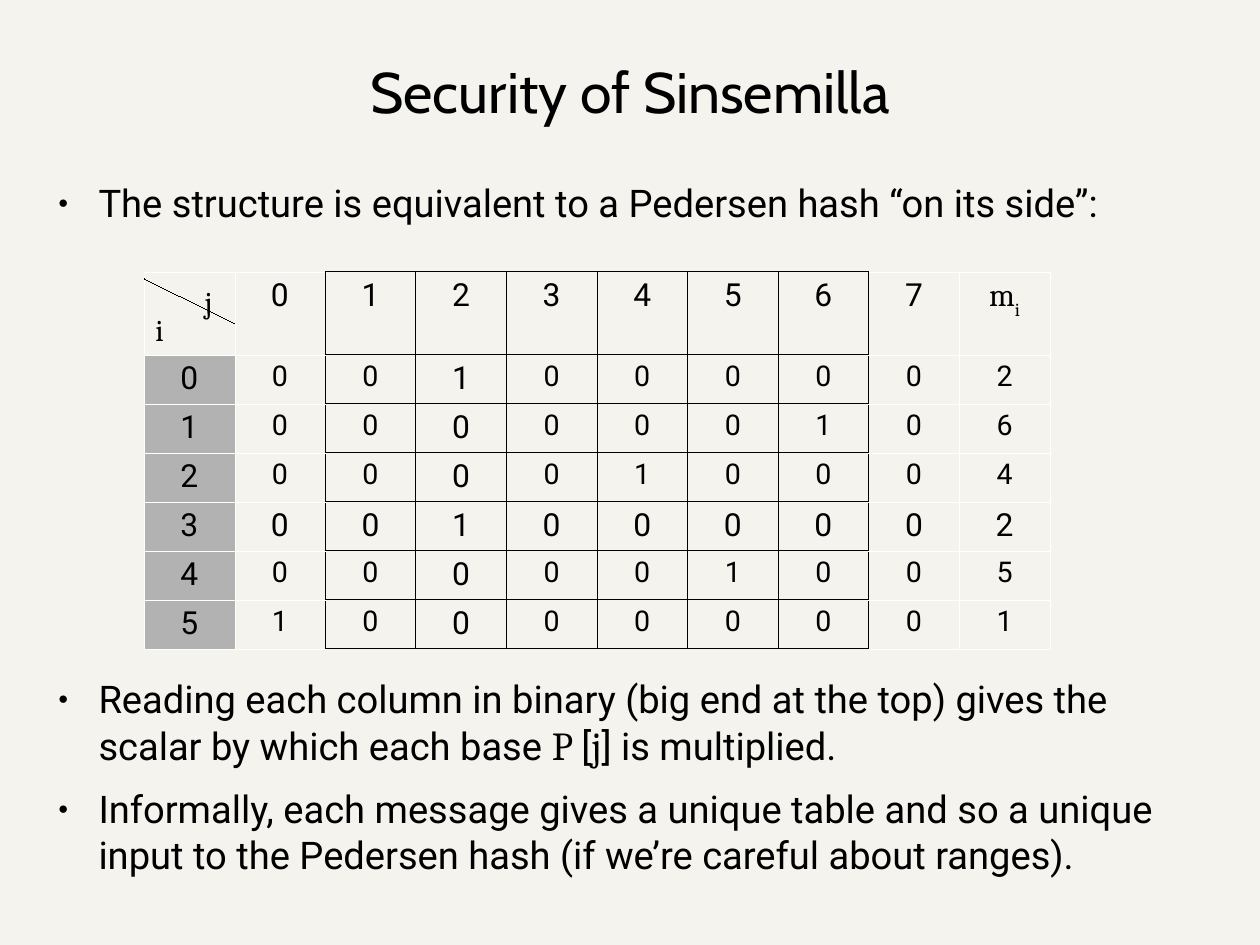
import pptx
import pptx.dml.color
import pptx.enum.shapes
import pptx.enum.text
import pptx.oxml
import pptx.oxml.ns
import pptx.util

COLORS = {"paper": "F4F3ED", "ink": "000000", "label": "B2B2B2", "rule": "FFFFFF"}
ALIGN = pptx.enum.text.PP_ALIGN
ANCHOR = pptx.enum.text.MSO_ANCHOR
NS = pptx.oxml.ns.nsdecls("a")

BASES = range(8)
MARKED = [2, 6, 4, 2, 5, 0]
MESSAGE = [2, 6, 4, 2, 5, 1]
LARGE_BASE = 2
LARGE_ROW = 3
BOXED = range(2, 8)
BOX_EDGES = {(1, "R"), (8, "L")}

TABLE_X, TABLE_Y = 11.43, 28.75
COL_W, HEAD_H, ROW_H = 7.19, 7.26, 5.19


def rgb(name):
    return pptx.dml.color.RGBColor.from_string(COLORS[name])


def xml(text):
    return pptx.oxml.parse_xml(text)


class Deck:
    def __init__(self, width, height):
        self.prs = pptx.Presentation()
        self.prs.slide_width = pptx.util.Cm(width)
        self.prs.slide_height = pptx.util.Cm(height)
        self.s = self.prs.slides.add_slide(self.prs.slide_layouts[3])
        self.s.background.fill.solid()
        self.s.background.fill.fore_color.rgb = rgb("paper")

    def x(self, percent):
        return pptx.util.Emu(round(self.prs.slide_width * percent / 100))

    def y(self, percent):
        return pptx.util.Emu(round(self.prs.slide_height * percent / 100))

    def font(self, target, size, name):
        target.font.size = pptx.util.Pt(size)
        target.font.name = name
        target.font.color.rgb = rgb("ink")

    def runs(self, p, parts):
        for text, size, name, baseline in parts:
            r = p.add_run()
            r.text = text
            if size:
                self.font(r, size, name)
            if baseline:
                r.font._element.set("baseline", str(baseline * 1000))

    def place(self, idx, x, y, w, h, anchor):
        sp = self.s.placeholders[idx]
        sp.left, sp.top, sp.width, sp.height = self.x(x), self.y(y), self.x(w), self.y(h)
        tf = sp.text_frame
        tf.margin_left = tf.margin_right = tf.margin_top = tf.margin_bottom = 0
        tf.word_wrap = True
        tf.auto_size = pptx.enum.text.MSO_AUTO_SIZE.NONE
        tf.vertical_anchor = anchor
        return tf

    def title(self, text, *box):
        p = self.place(0, *box, ANCHOR.MIDDLE).paragraphs[0]
        p.text = text
        p.alignment = ALIGN.CENTER
        self.font(p, 36, "Cabin")

    def bullets(self, idx, items, *box):
        tf = self.place(idx, *box, ANCHOR.TOP)
        for n, parts in enumerate(items):
            p = tf.add_paragraph() if n else tf.paragraphs[0]
            pPr = p._p.get_or_add_pPr()
            pPr.set("marL", str(self.x(4.28)))
            pPr.set("indent", str(-self.x(3.2)))
            pPr.append(xml(f'<a:buClr {NS}><a:srgbClr val="{COLORS["ink"]}"/></a:buClr>'))
            pPr.append(xml(f'<a:buSzPct {NS} val="45000"/>'))
            pPr.append(xml(f'<a:buChar {NS} char="●"/>'))
            p.space_before = pptx.util.Pt(10.6 if n else 0)
            self.font(p, 24, "Roboto")
            self.runs(p, parts)

    def table(self, rows, cols, x, y, col_w, head_h, row_h):
        heights = [head_h] + [row_h] * (rows - 1)
        frame = self.s.shapes.add_table(
            rows, cols, self.x(x), self.y(y), self.x(col_w * cols), self.y(sum(heights)))
        tbl = frame.table
        tbl.first_row = tbl.horz_banding = False
        for col in tbl.columns:
            col.width = self.x(col_w)
        for row, height in zip(tbl.rows, heights):
            row.height = self.y(height)
        return tbl

    def cell(self, cell, parts, size, name, borders, fill=None, tab=None):
        tcPr = cell._tc.get_or_add_tcPr()
        for edge, (color, width) in borders.items():
            tcPr.append(xml(
                f'<a:ln{edge} {NS} w="{pptx.util.Pt(width)}"><a:solidFill>'
                f'<a:srgbClr val="{COLORS[color]}"/></a:solidFill></a:ln{edge}>'))
        if fill:
            cell.fill.solid()
            cell.fill.fore_color.rgb = rgb(fill)
        else:
            cell.fill.background()
        p = cell.text_frame.paragraphs[0]
        if tab:
            p._p.get_or_add_pPr().append(xml(
                f'<a:tabLst {NS}><a:tab pos="{self.x(tab)}" algn="l"/></a:tabLst>'))
        else:
            p.alignment = ALIGN.CENTER
        self.font(p, size, name)
        self.runs(p, parts)

    def line(self, x1, y1, x2, y2):
        c = self.s.shapes.add_connector(
            pptx.enum.shapes.MSO_CONNECTOR.STRAIGHT,
            self.x(x1), self.y(y1), self.x(x2), self.y(y2))
        c.line.color.rgb = rgb("ink")
        c.line.width = pptx.util.Pt(0.01)
        c._element.spPr.append(xml(f"<a:effectLst {NS}/>"))


def plain(text):
    return [(text, None, None, 0)]


def borders(col):
    return {edge: ("ink", 0.57) if col in BOXED or (col, edge) in BOX_EDGES else ("rule", 0.06)
            for edge in "LRTB"}


def main():
    deck = Deck(28, 21)
    deck.title("Security of Sinsemilla", 5, 4, 90, 11.25)
    deck.bullets(1, [plain("The structure is equivalent to a Pedersen hash “on its side”:")],
                 3.54, 19, 90.74, 12.33)

    tbl = deck.table(len(MARKED) + 1, len(BASES) + 2, TABLE_X, TABLE_Y, COL_W, HEAD_H, ROW_H)
    last = len(BASES) + 1
    corner = [("i", None, None, -33), ("\t", 19, "Arial", 0), ("j", None, None, 20)]
    deck.cell(tbl.cell(0, 0), corner, 32.8, "Cambria", borders(0), tab=3.9)
    for j in BASES:
        deck.cell(tbl.cell(0, j + 1), plain(str(j)), 20, "Roboto", borders(j + 1))
    deck.cell(tbl.cell(0, last), plain("m") + [("i", None, None, -33)], 20, "Cambria",
              borders(last))
    for i, (marked, message) in enumerate(zip(MARKED, MESSAGE)):
        values = [i] + [int(j == marked) for j in BASES] + [message]
        for col, value in enumerate(values):
            large = i == LARGE_ROW or col in (0, LARGE_BASE + 1)
            deck.cell(tbl.cell(i + 1, col), plain(str(value)), 20 if large else 18, "Roboto",
                      borders(col), fill=None if col else "label")
    deck.line(TABLE_X, 29.5, TABLE_X + COL_W, 34.22)

    reading = plain("Reading each column in binary (big end at the top) gives the "
                    "scalar by which each base ")
    reading += [("P", 25, "Cambria", 0), (" ", 24, "Cambria", 0)] + plain("[")
    reading += [("j", 25, "Cambria", 0)] + plain("] is multiplied.")
    informally = plain("Informally, each message gives a unique table and so a unique "
                       "input to the Pedersen hash (if we’re careful about ranges).")
    deck.bullets(2, [reading, informally], 3.54, 71.46, 90.74, 26.6)
    deck.prs.save("out.pptx")


if __name__ == "__main__":
    main()
